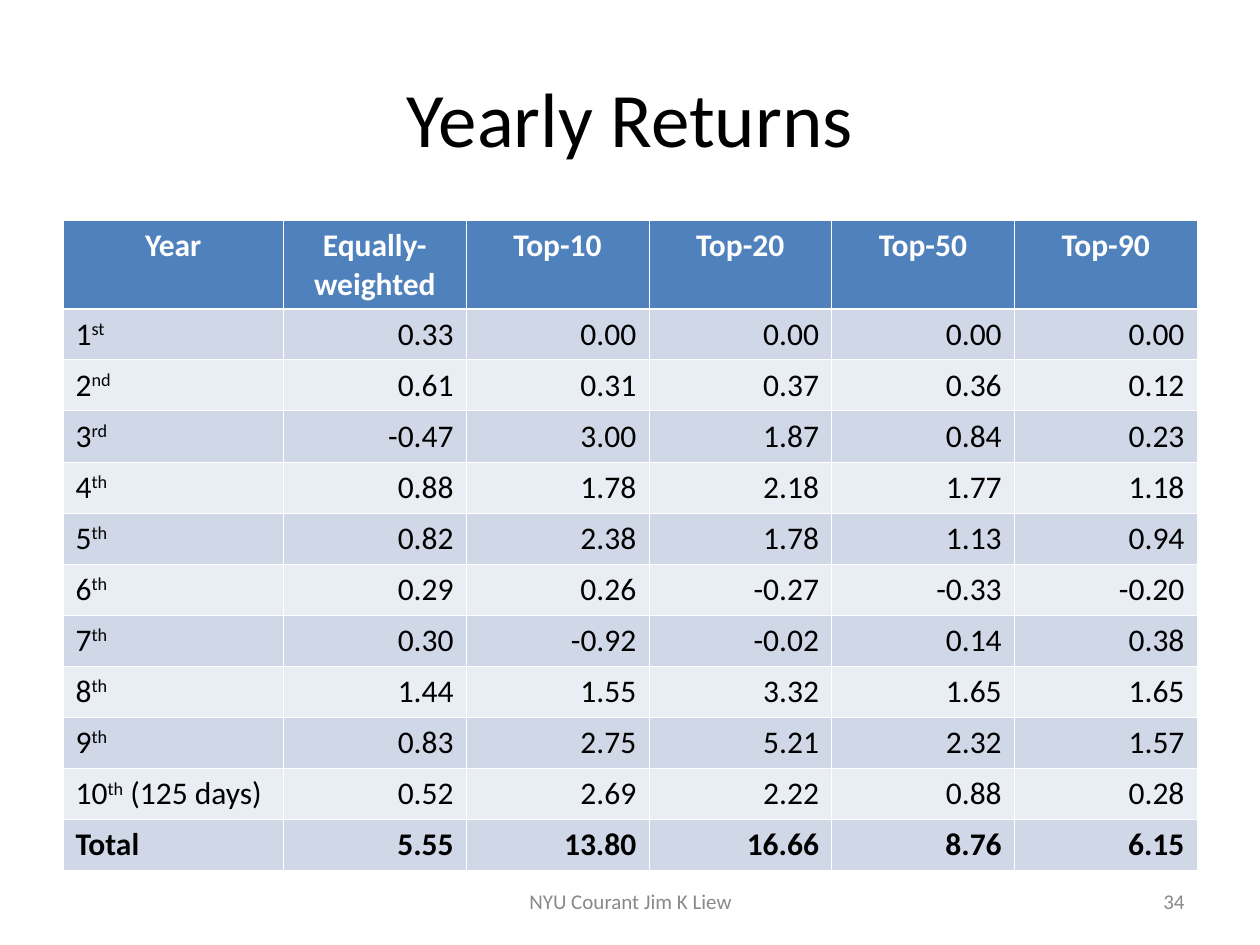
"""Build the Yearly Returns slide with its table of returns by portfolio."""
from lxml import etree
from pptx import Presentation
from pptx.dml.color import RGBColor
from pptx.enum import text
from pptx.oxml import ns
from pptx.util import Inches, Pt

BLACK = RGBColor(0x00, 0x00, 0x00)
WHITE = RGBColor(0xFF, 0xFF, 0xFF)
GRAY = RGBColor(0x89, 0x89, 0x89)
HEADER_BLUE = RGBColor(0x4F, 0x81, 0xBD)
BAND_DARK = RGBColor(0xD0, 0xD8, 0xE8)
BAND_LIGHT = RGBColor(0xE9, 0xED, 0xF4)
FONT = "Calibri"
LEFT, CENTER, RIGHT = text.PP_ALIGN.LEFT, text.PP_ALIGN.CENTER, text.PP_ALIGN.RIGHT

HEADERS = ["Year", "Equally-weighted", "Top-10", "Top-20", "Top-50", "Top-90"]
RETURNS = [
    (("1", "st"), "0.33", "0.00", "0.00", "0.00", "0.00"),
    (("2", "nd"), "0.61", "0.31", "0.37", "0.36", "0.12"),
    (("3", "rd"), "-0.47", "3.00", "1.87", "0.84", "0.23"),
    (("4", "th"), "0.88", "1.78", "2.18", "1.77", "1.18"),
    (("5", "th"), "0.82", "2.38", "1.78", "1.13", "0.94"),
    (("6", "th"), "0.29", "0.26", "-0.27", "-0.33", "-0.20"),
    (("7", "th"), "0.30", "-0.92", "-0.02", "0.14", "0.38"),
    (("8", "th"), "1.44", "1.55", "3.32", "1.65", "1.65"),
    (("9", "th"), "0.83", "2.75", "5.21", "2.32", "1.57"),
    (("10", "th", " (125 days)"), "0.52", "2.69", "2.22", "0.88", "0.28"),
    (("Total",), "5.55", "13.80", "16.66", "8.76", "6.15"),
]


def write_runs(paragraph, parts, size, color, alignment, bold=False):
    paragraph.alignment = alignment
    for index, part in enumerate(parts):
        run = paragraph.add_run()
        run.text = part
        run.font.name = FONT
        run.font.size = Pt(size)
        run.font.bold = bold
        run.font.color.rgb = color
        if index == 1:
            run.font._element.set("baseline", "30000")


def add_border(cell, side, width):
    line = etree.SubElement(cell._tc.get_or_add_tcPr(), ns.qn(f"a:ln{side}"), w=str(Pt(width)))
    fill = etree.SubElement(line, ns.qn("a:solidFill"))
    etree.SubElement(fill, ns.qn("a:srgbClr"), val=str(WHITE))


presentation = Presentation()
presentation.slide_width = Inches(10)
presentation.slide_height = Inches(7.5)
slide = presentation.slides.add_slide(presentation.slide_layouts[6])

captions = [
    ("Yearly Returns", 0.5, 0.3, 9, 1.25, 44, BLACK, CENTER),
    ("NYU Courant Jim K Liew", 3.42, 6.95, 3.17, 0.4, 12, GRAY, CENTER),
    ("34", 7.17, 6.95, 2.33, 0.4, 12, GRAY, RIGHT),
]
for caption, left, top, width, height, size, color, alignment in captions:
    box = slide.shapes.add_textbox(Inches(left), Inches(top), Inches(width), Inches(height))
    box.text_frame.word_wrap = True
    box.text_frame.vertical_anchor = text.MSO_ANCHOR.MIDDLE
    write_runs(box.text_frame.paragraphs[0], [caption], size, color, alignment)

rows = [[(header,) for header in HEADERS]]
rows += [[label] + [(value,) for value in values] for label, *values in RETURNS]
table = slide.shapes.add_table(
    len(rows), len(HEADERS), Inches(0.5), Inches(1.75), Inches(9), Inches(5.16)
).table
for index, column in enumerate(table.columns):
    column.width = Inches(1.45 if index else 1.75)
for index, row in enumerate(table.rows):
    row.height = Inches(4.46 / len(RETURNS) if index else 0.7)

for row_index, row in enumerate(rows):
    is_header = row_index == 0
    is_total = row_index == len(rows) - 1
    band = HEADER_BLUE if is_header else BAND_DARK if row_index % 2 else BAND_LIGHT
    for column_index, parts in enumerate(row):
        cell = table.cell(row_index, column_index)
        for side in "LRTB":
            below_header = (row_index, side) in ((0, "B"), (1, "T"))
            add_border(cell, side, 1.47 if below_header else 0.45)
        cell.fill.solid()
        cell.fill.fore_color.rgb = band
        alignment = CENTER if is_header else RIGHT if column_index else LEFT
        write_runs(cell.text_frame.paragraphs[0], parts, 18,
                   WHITE if is_header else BLACK, alignment, is_header or is_total)

presentation.save("out.pptx")
